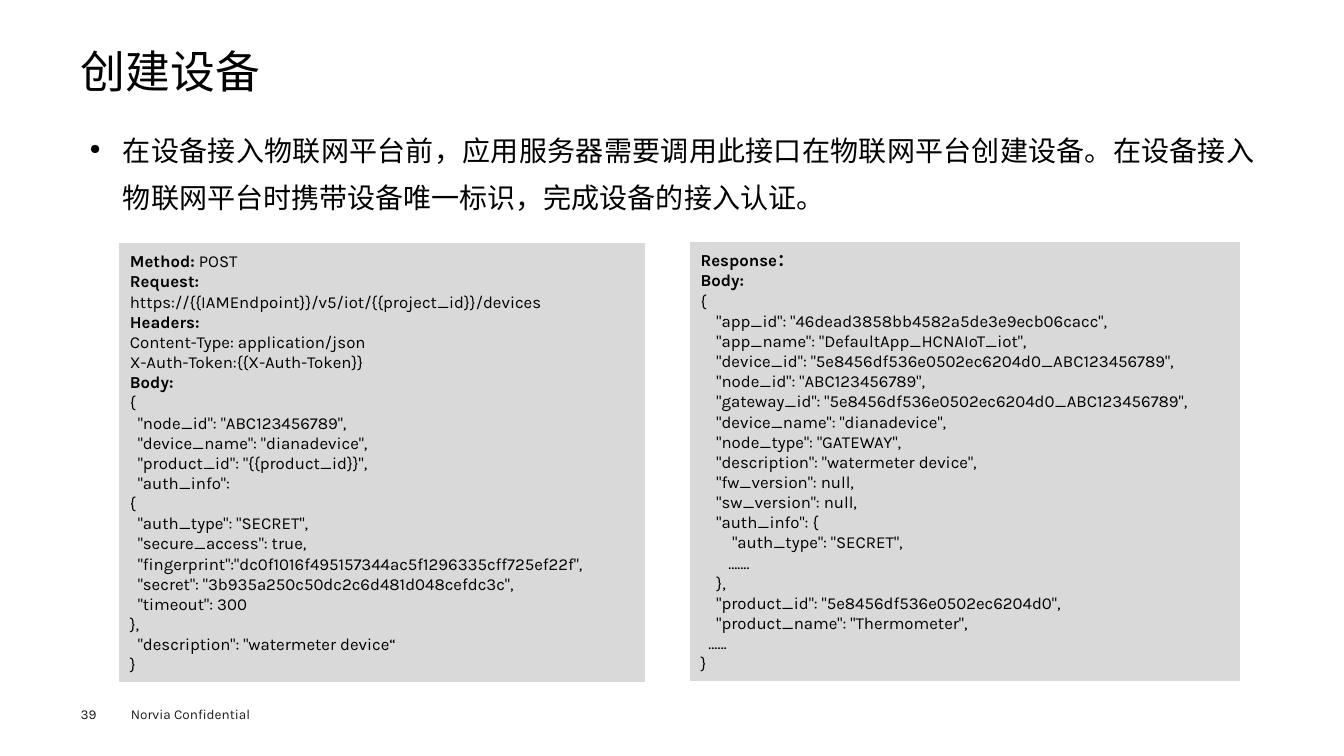
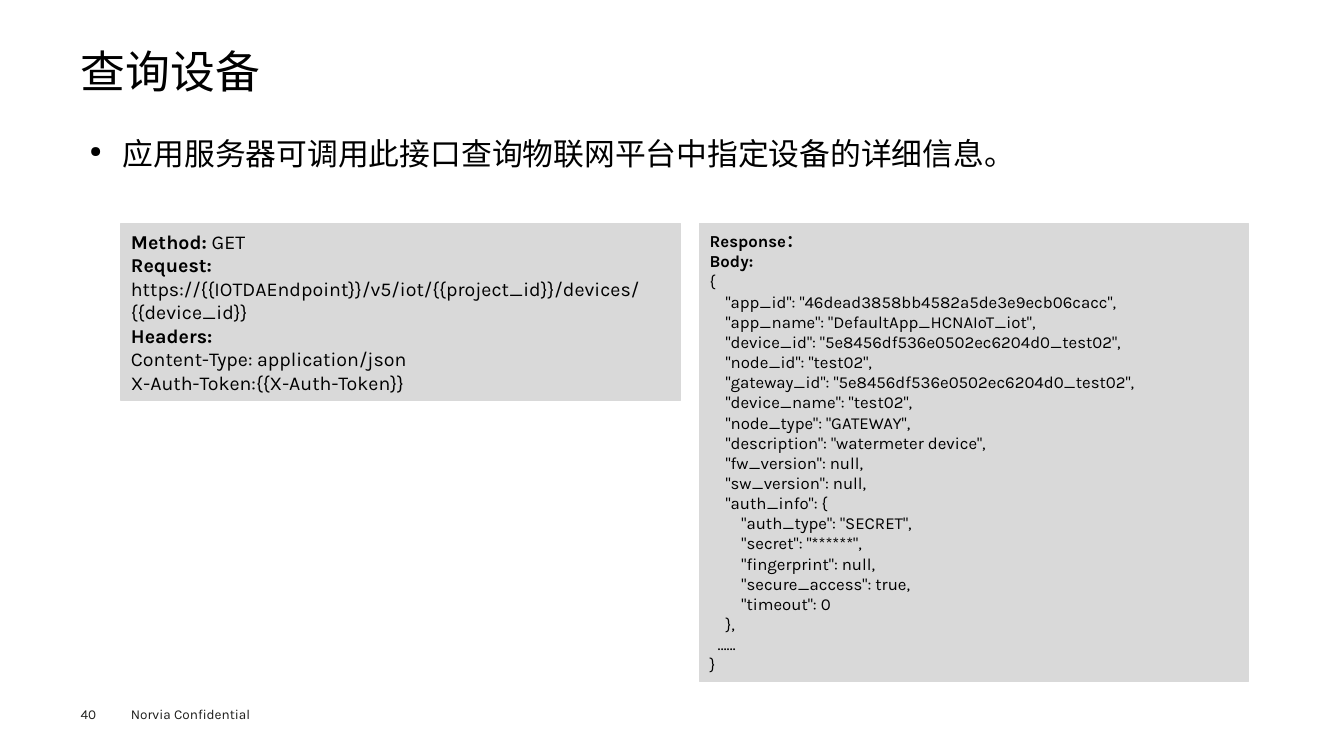
"""Build two slides that describe device calls of an IoT platform."""
from dataclasses import dataclass
from typing import Any

from lxml.etree import SubElement
from pptx import Presentation
from pptx.dml.color import RGBColor
from pptx.enum.shapes import MSO_SHAPE as SHAPE
from pptx.enum.text import MSO_ANCHOR as ANCHOR, MSO_AUTO_SIZE as AUTO, PP_ALIGN as ALIGN
from pptx.oxml.ns import qn
from pptx.util import Emu, Pt

BLACK = RGBColor(0x00, 0x00, 0x00)
INK = RGBColor(0x1D, 0x1D, 0x1B)
GREY = RGBColor(0xD9, 0xD9, 0xD9)
FONT = "Karla"
EMU_PER_PX = 9144
LABELS = ("Method:", "Request:", "Headers:", "Body:", "Response：")
SIDES = ("margin_left", "margin_top", "margin_right", "margin_bottom")

Box = tuple[int, int, int, int]

CREATE_REQUEST = """Method: POST
Request:
https://{{IAMEndpoint}}/v5/iot/{{project_id}}/devices
Headers:
Content-Type: application/json
X-Auth-Token:{{X-Auth-Token}}
Body:
{
  "node_id": "ABC123456789",
  "device_name": "dianadevice",
  "product_id": "{{product_id}}",
  "auth_info":
{
  "auth_type": "SECRET",
  "secure_access": true,
  "fingerprint":"dc0f1016f495157344ac5f1296335cff725ef22f",
  "secret": "3b935a250c50dc2c6d481d048cefdc3c",
  "timeout": 300
},
  "description": "watermeter device“
}"""

QUERY_REQUEST = """Method: GET
Request:
https://{{IOTDAEndpoint}}/v5/iot/{{project_id}}/devices/{{device_id}}
Headers:
Content-Type: application/json
X-Auth-Token:{{X-Auth-Token}}"""

RESPONSE_START = """Response：
Body:
{
    "app_id": "46dead3858bb4582a5de3e9ecb06cacc",
    "app_name": "DefaultApp_HCNAIoT_iot",
    "device_id": "5e8456df536e0502ec6204d0_<node>",
    "node_id": "<node>",
    "gateway_id": "5e8456df536e0502ec6204d0_<node>",
    "device_name": "<device>",
    "node_type": "GATEWAY",
    "description": "watermeter device",
    "fw_version": null,
    "sw_version": null,
    "auth_info": {
        "auth_type": "SECRET",
"""

CREATE_END = """       …….
    },
    "product_id": "5e8456df536e0502ec6204d0",
    "product_name": "Thermometer",
  ……
}"""

QUERY_END = """        "secret": "******",
        "fingerprint": null,
        "secure_access": true,
        "timeout": 0
    },
  ……
}"""


@dataclass(frozen=True)
class CodePanel:
    """A grey box of code."""
    box: Box
    code: str
    size: int = 12


@dataclass(frozen=True)
class ApiSlide:
    """The content of one slide."""
    number: int
    title: str
    summary: str
    summary_size: int
    panels: tuple[CodePanel, ...]


def response(node: str, device: str, end: str) -> str:
    """Return the response listing for a device."""
    return RESPONSE_START.replace("<node>", node).replace("<device>", device) + end


SLIDES = (
    ApiSlide(39, "创建设备",
             "在设备接入物联网平台前，应用服务器需要调用此接口在物联网平台创建设备。"
             "在设备接入物联网平台时携带设备唯一标识，完成设备的接入认证。", 20,
             (CodePanel((119, 242, 520, 434), CREATE_REQUEST),
              CodePanel((685, 241, 544, 434),
                        response("ABC123456789", "dianadevice", CREATE_END)))),
    ApiSlide(40, "查询设备", "应用服务器可调用此接口查询物联网平台中指定设备的详细信息。", 22,
             (CodePanel((120, 222, 555, 175), QUERY_REQUEST, 14),
              CodePanel((694, 222, 544, 454),
                        response("test02", "test02", QUERY_END)))),
)


def px(n: int) -> Emu:
    """Turn px into EMU."""
    return Emu(n * EMU_PER_PX)


def set_all(target: Any, values: dict[str, Any]) -> None:
    """Set each named attribute of the target."""
    for name, value in values.items():
        setattr(target, name, value)


def set_frame(tf: Any, insets: Box, anchor: Any = ANCHOR.TOP) -> None:
    """Set the insets, anchor and wrapping of a text frame."""
    set_all(tf, {"word_wrap": True, "auto_size": AUTO.NONE, "vertical_anchor": anchor}
            | dict(zip(SIDES, map(px, insets))))


def add_run(p: Any, text: str, size: float, color: RGBColor = BLACK,
            bold: bool = False) -> None:
    """Add a formatted run to a paragraph."""
    r = p.add_run()
    r.text = text
    set_all(r.font, {"name": FONT, "size": Pt(size), "bold": bold})
    r.font.color.rgb = color


def add_text(s: Any, box: Box, insets: Box, text: str, size: float,
             color: RGBColor = BLACK) -> Any:
    """Add a one-paragraph text box and return the paragraph."""
    tf = s.shapes.add_textbox(*map(px, box)).text_frame
    set_frame(tf, insets)
    p = tf.paragraphs[0]
    add_run(p, text, size, color)
    return p


def add_title(s: Any, text: str) -> None:
    """Place and format the title placeholder."""
    sp = s.shapes.title
    set_all(sp, dict(zip(("left", "top", "width", "height"), map(px, (80, 49, 1173, 53)))))
    set_frame(sp.text_frame, (0, 0, 0, 0))
    p = sp.text_frame.paragraphs[0]
    set_all(p, {"alignment": ALIGN.LEFT, "line_spacing": 0.9})
    add_run(p, text, 32)


def add_summary(s: Any, text: str, size: int) -> None:
    """Add the bulleted summary."""
    p = add_text(s, (80, 115, 1173, 534), (9, 4, 9, 4), text, size)
    set_all(p, {"alignment": ALIGN.JUSTIFY, "line_spacing": 1.4})
    pPr = p._p.get_or_add_pPr()
    pPr.set("marL", str(px(33)))
    pPr.set("indent", str(px(-33)))
    SubElement(pPr, qn("a:buSzPct")).set("val", "50000")
    SubElement(pPr, qn("a:buChar")).set("char", "●")


def add_panel(s: Any, panel: CodePanel) -> None:
    """Add a grey code box with bold labels."""
    sp = s.shapes.add_shape(SHAPE.RECTANGLE, *map(px, panel.box))
    sp.shadow.inherit = False
    sp.fill.solid()
    sp.fill.fore_color.rgb = GREY
    sp.line.color.rgb = GREY
    sp.line.width = Pt(0.75)
    tf = sp.text_frame
    set_frame(tf, (10, 5, 10, 5), ANCHOR.MIDDLE)
    for i, line in enumerate(panel.code.split("\n")):
        p = tf.add_paragraph() if i else tf.paragraphs[0]
        p.alignment = ALIGN.LEFT
        label = next((x for x in LABELS if line.startswith(x)), "")
        for text, bold in ((label, True), (line.removeprefix(label), False)):
            if text:
                add_run(p, text, panel.size, bold=bold)


def add_footer(s: Any, number: int) -> None:
    """Add the page number and the confidentiality line."""
    add_text(s, (120, 695, 160, 27), (10, 5, 10, 5), "Norvia Confidential", 9.7, INK)
    add_text(s, (80, 700, 55, 16), (0, 0, 0, 0), str(number), 9.7, INK)


def main() -> None:
    """Build and save the presentation."""
    prs = Presentation()
    set_all(prs, {"slide_width": px(1333), "slide_height": px(750)})
    for item in SLIDES:
        s = prs.slides.add_slide(prs.slide_layouts[5])
        add_footer(s, item.number)
        add_title(s, item.title)
        add_summary(s, item.summary, item.summary_size)
        for panel in item.panels:
            add_panel(s, panel)
    prs.save("out.pptx")


if __name__ == "__main__":
    main()
